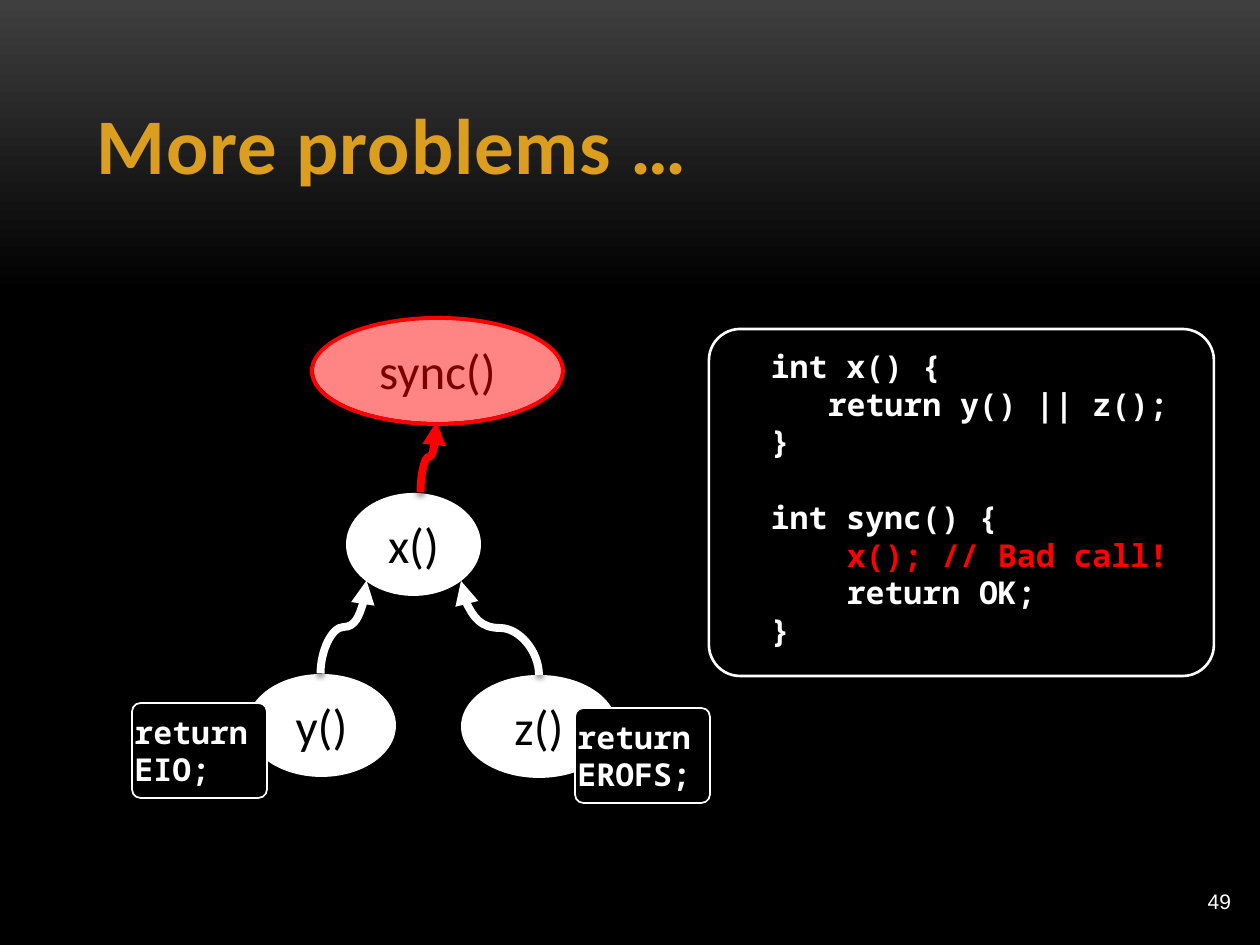
from lxml.etree import SubElement
from pptx import Presentation
from pptx.dml.color import RGBColor
from pptx.enum.shapes import MSO_CONNECTOR as Link, MSO_SHAPE as Kind
from pptx.enum.text import MSO_ANCHOR as Anchor, PP_ALIGN as Align
from pptx.oxml import parse_xml
from pptx.oxml.ns import nsdecls, qn
from pptx.util import Inches, Pt

PX = 7257  # EMU in one pixel, 126 pixels to the inch
CHAR = 19  # width of one code character in px
WHITE, BLACK, RED, GOLD = "FFFFFF", "000000", "FF0000", "DC9E1F"
MONO = "Noto Sans Mono"
color = RGBColor.from_string

deck = Presentation()
deck.slide_width, deck.slide_height = Inches(10), Inches(7.5)
page = deck.slides.add_slide(deck.slide_layouts[6])


def draw(kind, place, fill=None, line=None, weight=1, round_by=None):
    shape = page.shapes.add_shape(kind, *[n * PX for n in place])
    shape.shadow.inherit = False
    if fill:
        shape.fill.solid()
        shape.fill.fore_color.rgb = color(fill)
    else:
        shape.fill.background()
    if line:
        shape.line.color.rgb = color(line)
        shape.line.width = Pt(weight)
    else:
        shape.line.fill.background()
    if round_by:
        shape.adjustments[0] = round_by
    return shape


def write(shape, text, size=18, font=MONO, ink=WHITE, bold=False, align=Align.LEFT,
          anchor=Anchor.MIDDLE, insets=(13, 6, 13, 6), indent=0, before=0):
    """Add one paragraph of text to a shape."""
    frame = shape.text_frame
    frame.word_wrap = True
    frame.vertical_anchor = anchor
    frame.margin_left, frame.margin_top, frame.margin_right, frame.margin_bottom = [
        n * PX for n in insets]
    para = frame.add_paragraph() if frame.text else frame.paragraphs[0]
    para.alignment = align
    para.space_before = Pt(before)
    if indent:
        para._p.get_or_add_pPr().set("marL", str(indent * PX))
    span = para.add_run()
    span.text = text
    span.font.size, span.font.name, span.font.bold = Pt(size), font, bold
    span.font.color.rgb = color(ink)
    return span


# Background: dark grey fading down to black
backdrop = page.background.fill
backdrop.gradient()
backdrop.gradient_angle = 270
for stop, (position, shade) in zip(backdrop.gradient_stops, [(0, "3F3F3F"), (0.31, BLACK)]):
    stop.position = position
    stop.color.rgb = color(shade)

# Title and slide number
title_box = page.shapes.add_textbox(*[n * PX for n in (84, 38, 1092, 158)])
title = write(title_box, "More problems …", size=45, font="Calibri", ink=GOLD, bold=True,
              anchor=Anchor.BOTTOM)
title.font._element.set("spc", "50")
number_box = page.shapes.add_textbox(*[n * PX for n in (1108, 876, 136, 50)])
write(number_box, "49", size=12, font="Arial", align=Align.RIGHT)

# Functions of the call graph
for name, place in [("x()", (346, 493, 135, 103)), ("y()", (247, 674, 149, 103)),
                    ("z()", (461, 675, 156, 103)), ("sync()", (314, 319, 247, 103))]:
    bubble = draw(Kind.OVAL, place, fill=WHITE)
    write(bubble, name, size=28, font="Calibri", ink=BLACK, align=Align.CENTER,
          anchor=Anchor.TOP, insets=(13, 6, 13, 0))

# Calls: curves that leave upwards, so each is a sideways curve turned by a quarter
for (x1, y1), (x2, y2), ink in [((321, 674), (367, 581), WHITE),
                                ((539, 675), (461, 581), WHITE),
                                ((421, 493), (437, 422), RED)]:
    length, breadth = y1 - y2, abs(x2 - x1)
    left, top = (x1 + x2 - length) // 2, (y1 + y2 - breadth) // 2
    right, bottom = left + length, top + breadth
    rightward = x2 > x1
    start, end = (right, left) if rightward else (left, right)
    call = page.shapes.add_connector(Link.CURVE, start * PX, bottom * PX, end * PX, top * PX)
    call.rotation = 90 if rightward else 270
    call.line.color.rgb = color(ink)
    call.line.width = Pt(4.5)
    SubElement(call.line._get_or_add_ln(), qn("a:tailEnd"), type="triangle")
    call._element.spPr.append(parse_xml(
        f'<a:effectLst {nsdecls("a")}><a:outerShdw blurRad="38100" dist="25400" dir="5400000" '
        f'rotWithShape="0"><a:srgbClr val="{BLACK}"><a:alpha val="40000"/></a:srgbClr>'
        '</a:outerShdw></a:effectLst>'))

# Error codes returned by y() and z()
for text, place in [("return EIO;", (132, 703, 135, 95)), ("return EROFS;", (575, 708, 135, 95))]:
    label = draw(Kind.ROUNDED_RECTANGLE, place, fill=BLACK, line=WHITE, round_by=0.09)
    write(label, text, bold=True, insets=(0, 6, 0, 6))

# Red veil over sync()
veil = draw(Kind.OVAL, (312, 318, 251, 106), fill=RED, line=RED, weight=2.25)
veil_color = veil._element.spPr.find(qn("a:solidFill")).find(qn("a:srgbClr"))
SubElement(veil_color, qn("a:alpha"), val="48000")

# Code listing: text, indent in characters, colour, space before
listing = draw(Kind.ROUNDED_RECTANGLE, (761, 329, 446, 373), fill=BLACK, round_by=0.09)
for text, depth, ink, before in [
    ("int x() {", 0, WHITE, 0),
    ("return y() || z();", 3, WHITE, 0),
    ("}", 0, WHITE, 0),
    ("int sync() {", 0, WHITE, 21.5),
    ("x(); // Bad call!", 4, RED, 0),
    ("return OK;", 4, WHITE, 0),
    ("}", 0, WHITE, 0),
]:
    write(listing, text, ink=ink, bold=True, anchor=Anchor.TOP, insets=(0, 8, 0, 6),
          indent=depth * CHAR, before=before)
draw(Kind.ROUNDED_RECTANGLE, (709, 329, 505, 347), line=WHITE, weight=1.5, round_by=0.09)

deck.save("out.pptx")
